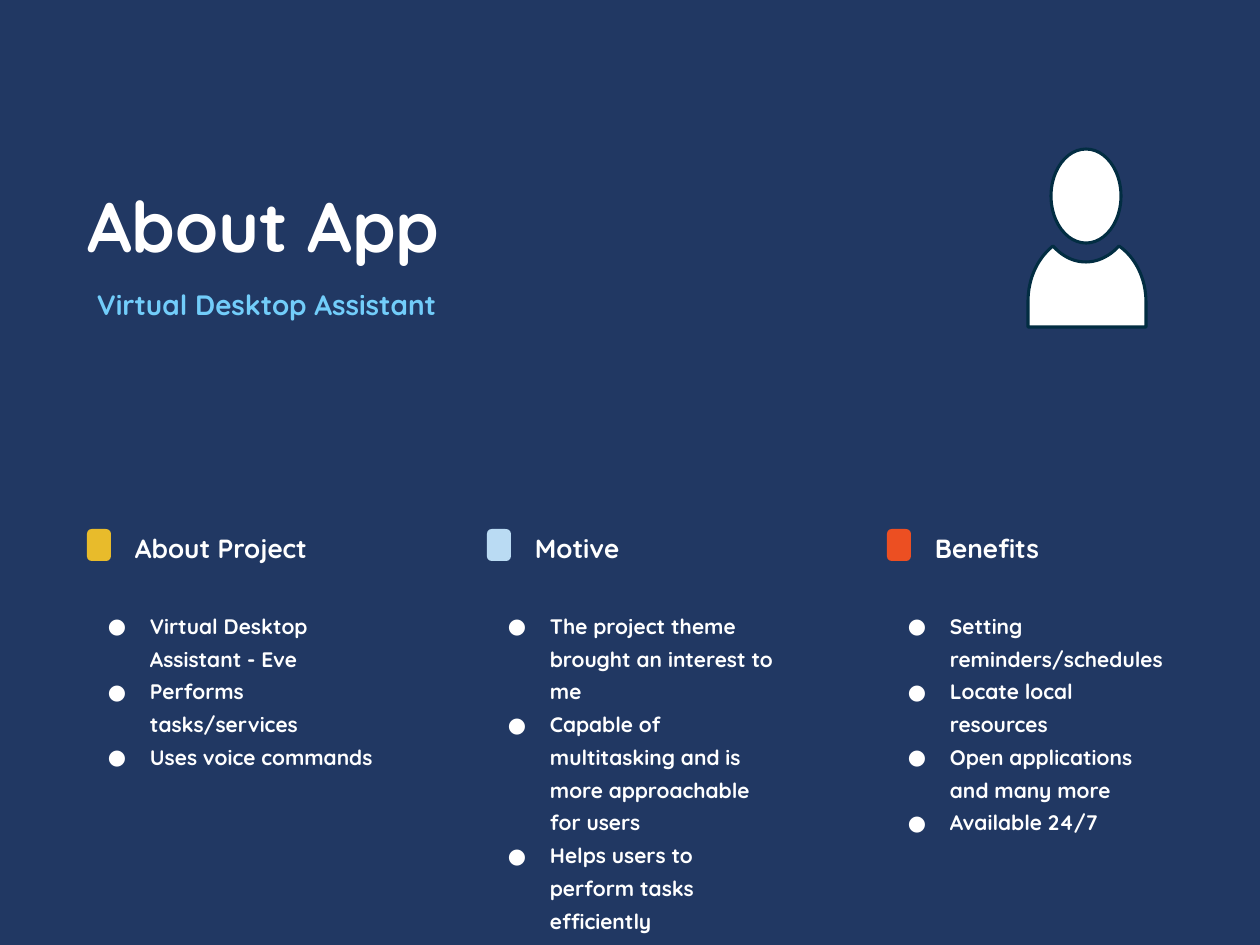
from lxml.etree import SubElement
from pptx import Presentation
from pptx.dml.color import RGBColor
from pptx.enum.shapes import MSO_SHAPE as Shape
from pptx.oxml.ns import qn
from pptx.util import Emu, Pt

PX = 914400 / 126
NAVY = RGBColor(0x21, 0x38, 0x63)
INK = RGBColor(0x02, 0x2D, 0x42)
WHITE = RGBColor(0xFF, 0xFF, 0xFF)
SKY = RGBColor(0x72, 0xCD, 0xFA)
YELLOW = RGBColor(0xE8, 0xBB, 0x2B)
PALE_BLUE = RGBColor(0xBA, 0xDB, 0xF3)
ORANGE = RGBColor(0xEC, 0x4F, 0x22)

COLUMN_LEFT, COLUMN_STEP = 87, 400
COLUMNS = [
    ("About Project", YELLOW, [
        "Virtual Desktop Assistant - Eve",
        "Performs tasks/services",
        "Uses voice commands",
    ]),
    ("Motive", PALE_BLUE, [
        "The project theme brought an interest to me",
        "Capable of multitasking and is more approachable for users",
        "Helps users to perform tasks efficiently",
    ]),
    ("Benefits", ORANGE, [
        "Setting reminders/schedules",
        "Locate local resources",
        "Open applications and many more",
        "Available 24/7",
    ]),
]

SHOULDERS = [
    [(1028, 302), (1028, 278), (1038, 258), (1053, 246)],
    [(1053, 246), (1062, 256), (1073, 262), (1086, 262)],
    [(1086, 262), (1098, 262), (1110, 256), (1119, 246)],
    [(1119, 246), (1135, 257), (1146, 278), (1146, 302)],
]


def px(length):
    """Turn px into EMU."""
    return Emu(round(length * PX))


def curve_points(controls, steps=16):
    """Return points along a cubic curve, in px."""
    weights = [((1 - t) ** 3, 3 * t * (1 - t) ** 2, 3 * t * t * (1 - t), t ** 3)
               for t in (step / steps for step in range(steps + 1))]
    return [tuple(sum(w * point[axis] for w, point in zip(weight, controls))
                  for axis in (0, 1)) for weight in weights]


class SlideBuilder:
    """Holds the style and the current slide."""

    font = "Quicksand"

    def __init__(self, slide):
        self.slide = slide

    def background(self, color):
        """Fill the slide background."""
        fill = self.slide.background.fill
        fill.solid()
        fill.fore_color.rgb = color

    def paint(self, shape, fill, line=None):
        """Give a shape its fill and optional outline."""
        shape.shadow.inherit = False
        shape.fill.solid()
        shape.fill.fore_color.rgb = fill
        if line is None:
            shape.line.fill.background()
        else:
            shape.line.color.rgb = line
            shape.line.width = Pt(1.75)

    def shape(self, kind, box, fill, line=None):
        """Add a preset shape."""
        shape = self.slide.shapes.add_shape(kind, *map(px, box))
        self.paint(shape, fill, line)
        return shape

    def outline(self, points, fill, line):
        """Add a closed freeform through points in px."""
        builder = self.slide.shapes.build_freeform(
            *map(px, points[0]), scale=1.0)
        builder.add_line_segments(
            [tuple(map(px, point)) for point in points[1:]], close=True)
        self.paint(builder.convert_to_shape(), fill, line)

    def text(self, box, lines, size, color=WHITE, spacing=None, bullets=False):
        """Add a text box with one paragraph per line."""
        frame = self.slide.shapes.add_textbox(*map(px, box)).text_frame
        frame.word_wrap = True
        frame.margin_left = frame.margin_right = 0
        frame.margin_top = frame.margin_bottom = 0
        for index, line in enumerate(lines):
            paragraph = frame.add_paragraph() if index else frame.paragraphs[0]
            if spacing:
                paragraph.line_spacing = spacing
            if bullets:
                self.bullet(paragraph, color)
            run = paragraph.add_run()
            run.text = line
            run.font.name = self.font
            run.font.size = Pt(size)
            run.font.bold = True
            run.font.color.rgb = color

    def bullet(self, paragraph, color):
        """Give a paragraph a round bullet and a hanging indent."""
        properties = paragraph._p.get_or_add_pPr()
        properties.set("marL", str(px(63)))
        properties.set("indent", str(px(-42)))
        bullet_color = SubElement(properties, qn("a:buClr"))
        SubElement(bullet_color, qn("a:srgbClr")).set("val", str(color))
        SubElement(properties, qn("a:buFont")).set("typeface", self.font)
        SubElement(properties, qn("a:buChar")).set("char", "●")

    def column(self, left, heading, color, items):
        """Add a colour tag, a heading and its bullet list."""
        tag = self.shape(Shape.ROUNDED_RECTANGLE, (left, 529, 24, 32), color)
        tag.adjustments[0] = 0.2
        self.text((left + 48, 526, 238, 38), [heading], 15, spacing=1.2)
        self.text((left, 606, 287, 66 * len(items)), items, 12,
                  spacing=1.3, bullets=True)

    def person(self):
        """Add the person icon."""
        points = [point for controls in SHOULDERS
                  for point in curve_points(controls)]
        self.outline(points + [(1146, 327), (1028, 327)], WHITE, INK)
        self.shape(Shape.OVAL, (1051, 149, 70, 94), WHITE, INK)


def main():
    """Build and save the slide."""
    presentation = Presentation()
    presentation.slide_width, presentation.slide_height = px(1260), px(945)
    builder = SlideBuilder(
        presentation.slides.add_slide(presentation.slide_layouts[6]))
    builder.background(NAVY)
    builder.text((87, 183, 874, 84), ["About App"], 40)
    builder.text((97, 288, 558, 35), ["Virtual Desktop Assistant"], 16, SKY)
    for index, column in enumerate(COLUMNS):
        builder.column(COLUMN_LEFT + index * COLUMN_STEP, *column)
    builder.person()
    presentation.save("out.pptx")


if __name__ == "__main__":
    main()
